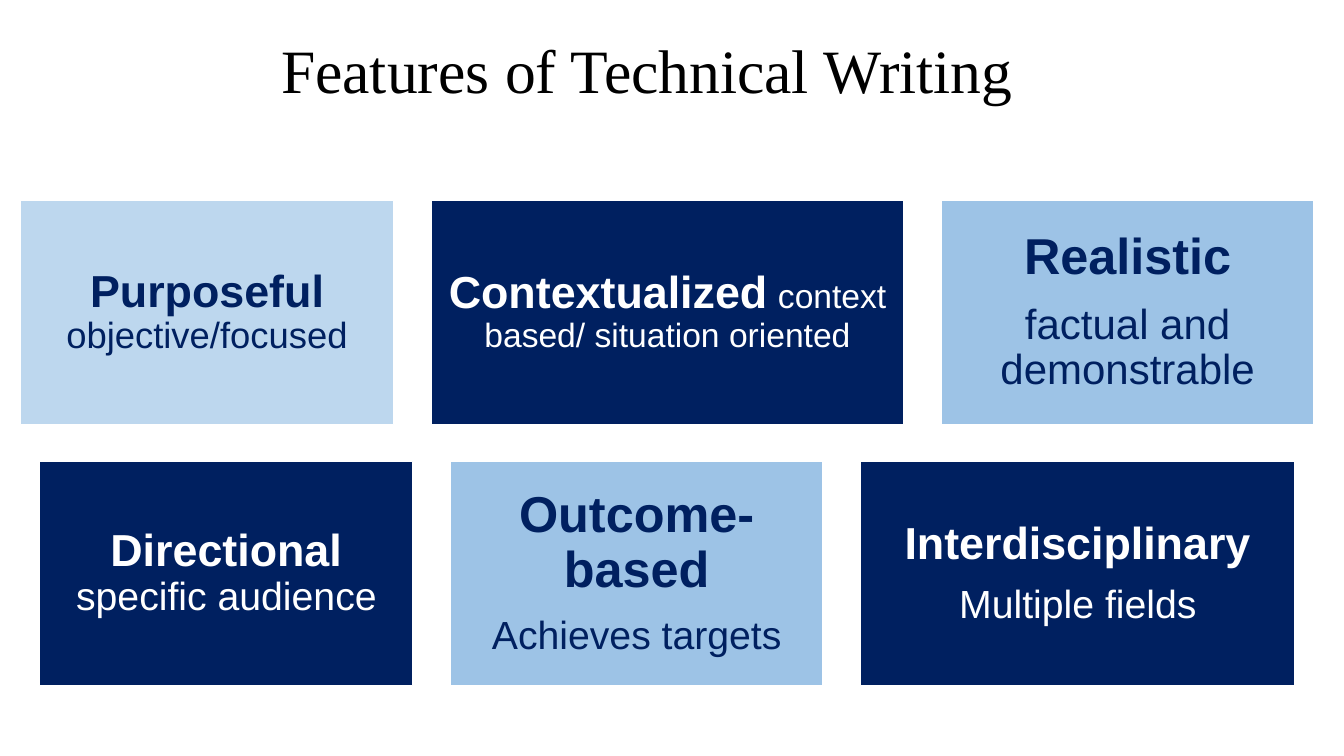
from lxml.etree import SubElement
from pptx import Presentation
from pptx.dml.color import RGBColor as Color
from pptx.enum.shapes import MSO_SHAPE as Preset
from pptx.enum.text import MSO_ANCHOR as Anchor, PP_ALIGN as Align
from pptx.oxml.ns import qn
from pptx.util import Inches, Pt

COLORS = {"navy": "002060", "sky": "9DC3E6", "pale": "BDD7EE", "white": "FFFFFF", "black": "000000"}
GAP, CARD_HEIGHT, GRID_TOP, GRID_CENTER = 0.37, 2.22, 1.99, 6.62
NARROW = 3.7


def add_run(paragraph, text, color, **formats):
    run = paragraph.add_run()
    run.text = text
    run.font.color.rgb = Color.from_string(COLORS[color])
    for name, value in formats.items():
        setattr(run.font, name, value)


def format_paragraph(paragraph, space_after=None):
    paragraph.alignment = Align.CENTER
    paragraph.line_spacing = 0.9
    if space_after:
        spacing = SubElement(paragraph._p.get_or_add_pPr(), qn("a:spcAft"))
        SubElement(spacing, qn("a:spcPct")).set("val", str(space_after * 1000))


presentation = Presentation()
presentation.slide_width = Inches(13.33)
presentation.slide_height = Inches(7.5)
slide = presentation.slides.add_slide(presentation.slide_layouts[5])

title = slide.shapes.title
title.left, title.top, title.width, title.height = map(Inches, (0.67, 0, 11.5, 1.45))
title.text_frame.vertical_anchor = Anchor.MIDDLE
heading = title.text_frame.paragraphs[0]
format_paragraph(heading)
add_run(heading, "Features of Technical Writing", "black", name="Times New Roman", size=Pt(44))

rows = [
    [
        (NARROW, "pale", "navy", 0.13, [[("Purposeful", 32, True), (" objective/focused", 26, False)]]),
        (4.69, "navy", "white", 0.13, [[("Contextualized", 32, True), (" ", 26, True),
                                        ("context based/ situation oriented", 24, False)]]),
        (NARROW, "sky", "navy", 0.15, [[("Realistic", 36, True)], [("factual and demonstrable", 30, False)]]),
    ],
    [
        (NARROW, "navy", "white", 0.13, [[("Directional", 32, True), (" specific audience", 28, False)]]),
        (NARROW, "sky", "navy", 0.15, [[("Outcome-based", 36, True)], [("Achieves targets", 28, False)]]),
        (4.31, "navy", "white", 0.13, [[("Interdisciplinary", 32, True)], [("Multiple fields", 28, False)]]),
    ],
]

for row_index, cards in enumerate(rows):
    row_width = sum(card[0] for card in cards) + GAP * (len(cards) - 1)
    left = GRID_CENTER - row_width / 2
    top = GRID_TOP + row_index * (CARD_HEIGHT + GAP)
    for width, fill, text_color, inset, paragraphs in cards:
        shape = slide.shapes.add_shape(
            Preset.RECTANGLE, Inches(left), Inches(top), Inches(width), Inches(CARD_HEIGHT))
        left += width + GAP
        shape.shadow.inherit = False
        shape.fill.solid()
        shape.fill.fore_color.rgb = Color.from_string(COLORS[fill])
        shape.line.color.rgb = Color.from_string(COLORS["white"])
        shape.line.width = Pt(1)
        frame = shape.text_frame
        frame.word_wrap = True
        frame.vertical_anchor = Anchor.MIDDLE
        for side in ("left", "top", "right", "bottom"):
            setattr(frame, f"margin_{side}", Inches(inset))
        for index, runs in enumerate(paragraphs):
            paragraph = frame.add_paragraph() if index else frame.paragraphs[0]
            format_paragraph(paragraph, space_after=35)
            for text, size, bold in runs:
                add_run(paragraph, text, text_color, name="Arial", size=Pt(size), bold=bold)

presentation.save("out.pptx")
